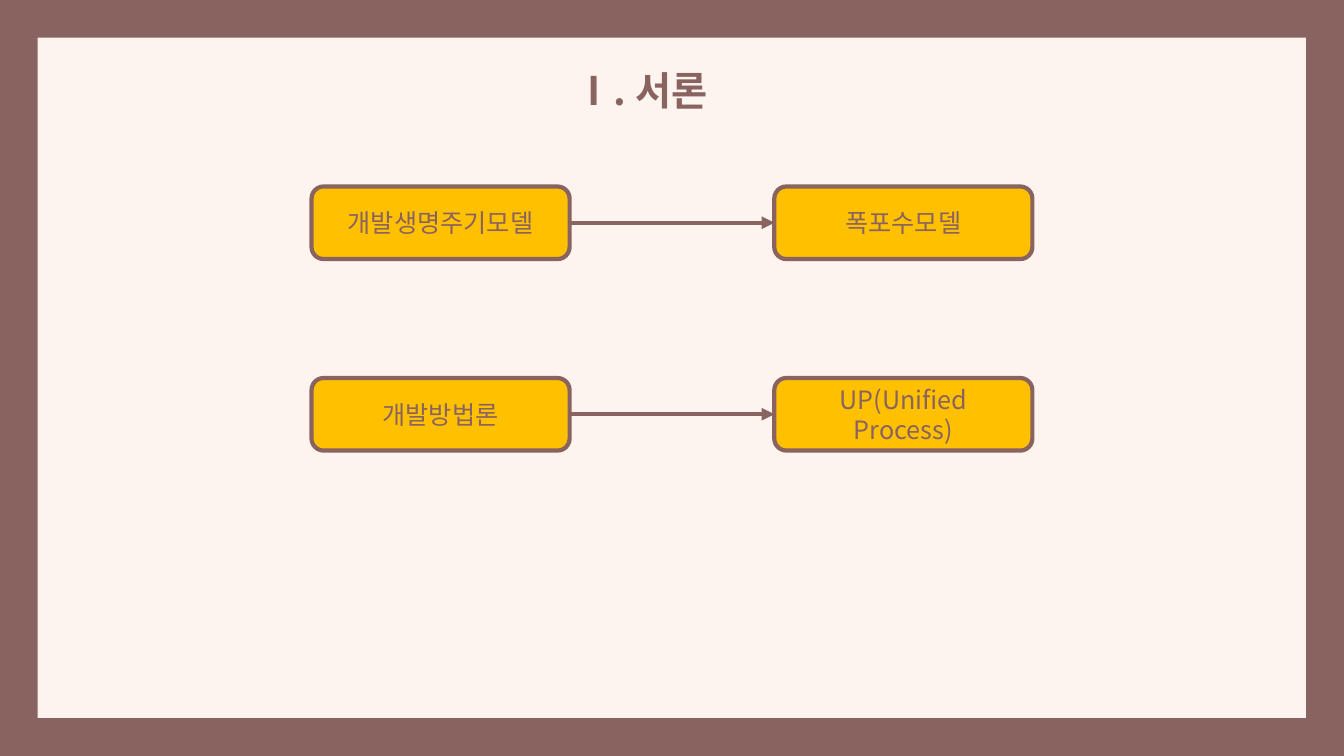
from dataclasses import dataclass
from lxml.etree import SubElement as Sub
from pptx import Presentation
from pptx.dml.color import RGBColor as Rgb
from pptx.enum.shapes import MSO_CONNECTOR as Link, MSO_SHAPE as Kind
from pptx.enum.text import MSO_ANCHOR as Anchor, MSO_AUTO_SIZE as Fit, PP_ALIGN as Align
from pptx.oxml.ns import qn
from pptx.util import Inches, Pt


@dataclass(frozen=True)
class Theme:
    paper: Rgb = Rgb.from_string("FDF4EF")
    ink: Rgb = Rgb.from_string("896360")
    gold: Rgb = Rgb.from_string("FFC000")
    font: str = "Noto Sans CJK KR"
    head: Pt = Pt(28)
    body: Pt = Pt(18)
    edge: Pt = Pt(3)


def apply(item, form):
    for key, val in form.items():
        setattr(item, key, val)


class Deck:
    def __init__(self, theme):
        self.theme = theme
        self.file = Presentation()
        apply(self.file, {"slide_width": Inches(13.33), "slide_height": Inches(7.5)})
        self.slide = self.file.slides.add_slide(self.file.slide_layouts[5])
        self.paint(self.slide.background.fill, theme.paper)

    def paint(self, fill, color):
        fill.solid()
        fill.fore_color.rgb = color

    def stroke(self, line):
        line.width = self.theme.edge
        self.paint(line.fill, self.theme.ink)

    def label(self, shape, text, size, bold=False, gap=1.0, anchor=Anchor.MIDDLE):
        frame = shape.text_frame
        frame.text = text
        apply(frame, {"word_wrap": True, "auto_size": Fit.NONE, "vertical_anchor": anchor})
        para = frame.paragraphs[0]
        apply(para, {"alignment": Align.CENTER, "line_spacing": gap})
        run = para.runs[0]
        apply(run.font, {"name": self.theme.font, "size": size, "bold": bold})
        run.font.color.rgb = self.theme.ink
        Sub(run.font._element, qn("a:ea"), typeface=self.theme.font)

    def title(self, text, left, top, width, height):
        shape = self.slide.shapes.title
        apply(shape, {"left": Inches(left), "top": Inches(top),
                      "width": Inches(width), "height": Inches(height)})
        self.label(shape, text, self.theme.head, True, 1.5, Anchor.TOP)

    def border(self, ratio):
        shape = self.slide.shapes.add_shape(
            Kind.FRAME, 0, 0, self.file.slide_width, self.file.slide_height)
        shape.adjustments[0] = ratio
        shape.shadow.inherit = False
        self.paint(shape.fill, self.theme.ink)
        shape.line.fill.background()

    def box(self, group, text, left, top):
        shape = group.shapes.add_shape(
            Kind.ROUNDED_RECTANGLE, Inches(left), Inches(top), Inches(2.56), Inches(0.72))
        shape.shadow.inherit = False
        self.paint(shape.fill, self.theme.gold)
        self.stroke(shape.line)
        self.label(shape, text, self.theme.body)
        return shape

    def arrow(self, group, start, end):
        line = group.shapes.add_connector(Link.STRAIGHT, 0, 0, 0, 0)
        line.begin_connect(start, 3)
        line.end_connect(end, 1)
        self.stroke(line.line)
        Sub(line.line._get_or_add_ln(), qn("a:tailEnd"), type="triangle")
        Sub(line._element.spPr, qn("a:effectLst"))

    def pair(self, names, top):
        group = self.slide.shapes.add_group_shape()
        start, end = [self.box(group, name, left, top)
                      for name, left in zip(names, (3.09, 7.68))]
        self.arrow(group, start, end)
        group.shapes._recalculate_extents()


def main():
    deck = Deck(Theme())
    deck.border(0.05)
    deck.title("Ⅰ. 서론", 5.51, 0.37, 1.7, 0.72)
    rows = [("개발생명주기모델", "폭포수모델"), ("개발방법론", "UP(Unified Process)")]
    for num, names in enumerate(rows):
        deck.pair(names, 1.85 + 1.9 * num)
    deck.file.save("out.pptx")


if __name__ == "__main__":
    main()
